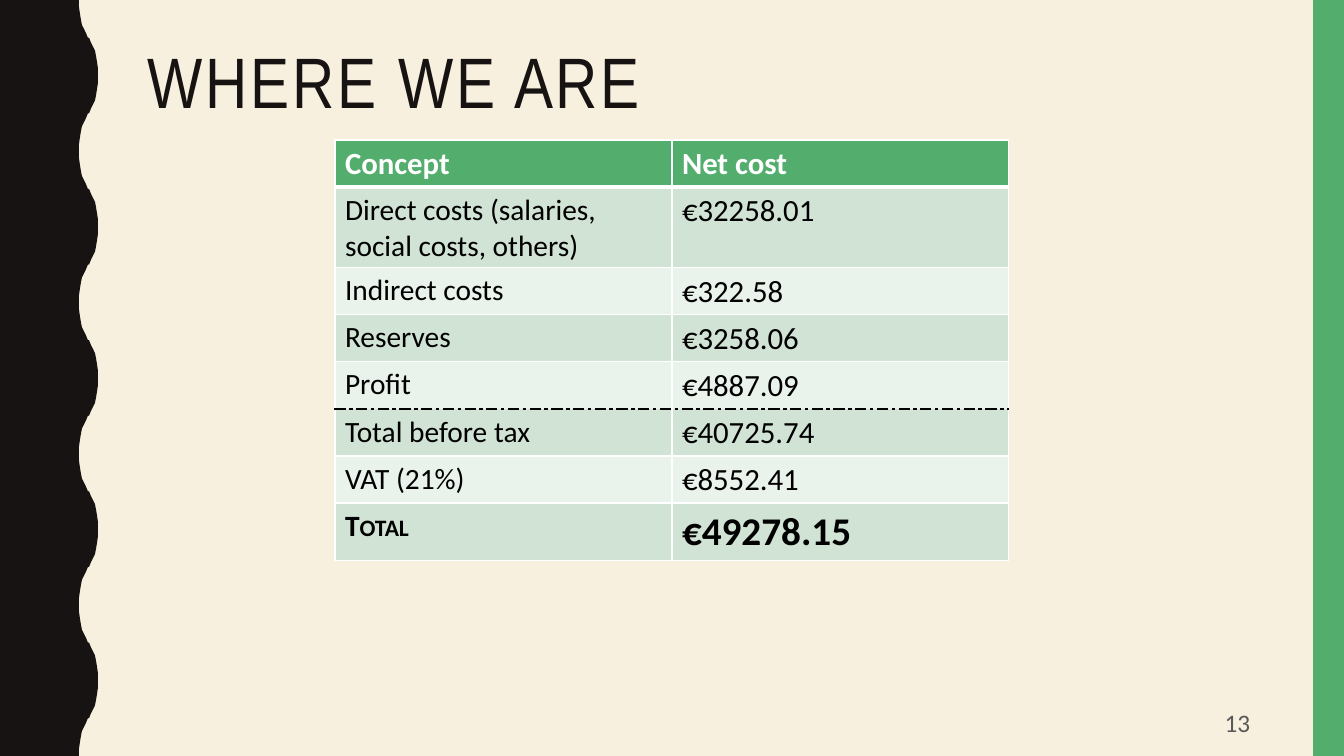
from lxml.etree import SubElement
from pptx import Presentation
from pptx.dml.color import RGBColor
from pptx.enum.shapes import MSO_SHAPE
from pptx.enum.text import MSO_ANCHOR, PP_ALIGN
from pptx.oxml.ns import qn
from pptx.util import Pt

SLIDE_W, SLIDE_H = 1344, 756
PX = 12192000 / SLIDE_W

CREAM = RGBColor(0xF7, 0xF0, 0xDF)
INK = RGBColor(0x17, 0x13, 0x12)
GREEN = RGBColor(0x53, 0xAE, 0x6E)
BAND_DARK = RGBColor(0xD1, 0xE3, 0xD5)
BAND_LIGHT = RGBColor(0xE9, 0xF2, 0xEB)
WHITE = RGBColor(0xFF, 0xFF, 0xFF)
BLACK = RGBColor(0, 0, 0)
GREY = RGBColor(0x59, 0x59, 0x59)

# Trough to midpoint of one swing of the wavy edge, as (dx, dy)
WAVE_CURVE = [(0, 0), (0, 7), (1, 14), (2, 20), (3, 25), (5, 29), (7, 33), (9, 38)]
WAVES = 5

COSTS = [
    ("Concept", "Net cost"),
    ("Direct costs (salaries, social costs, others)", "€32258.01"),
    ("Indirect costs", "€322.58"),
    ("Reserves", "€3258.06"),
    ("Profit", "€4887.09"),
    ("Total before tax", "€40725.74"),
    ("VAT (21%)", "€8552.41"),
    ("Total", "€49278.15"),
]
PROFIT_ROW = 4
TOTAL_ROW = len(COSTS) - 1


def px(n):
    return round(n * PX)


def paint(shape, color):
    shape.shadow.inherit = False
    shape.fill.solid()
    shape.fill.fore_color.rgb = color
    shape.line.fill.background()


def add_run(p, text, font, size, color, bold=False):
    r = p.add_run()
    r.text = text
    r.font.name = font
    r.font.size = Pt(size)
    r.font.bold = bold
    r.font.color.rgb = color
    return r


def add_text_box(s, box, anchor):
    tf = s.shapes.add_textbox(*map(px, box)).text_frame
    tf.word_wrap = True
    tf.vertical_anchor = anchor
    return tf.paragraphs[0]


def add_wavy_edge(s, box):
    """Fill the box from its left side, with a waving right side."""
    left, top, width, height = box
    swing = 19
    trough = left + width - swing
    half = height / WAVES / 2
    out = WAVE_CURVE + [(swing - dx, half - dy) for dx, dy in reversed(WAVE_CURVE)]
    wave = out + [(dx, 2 * half - dy) for dx, dy in reversed(out[:-1])]
    edge = [(px(trough + dx), px(top + 2 * half * n + dy))
            for n in range(WAVES) for dx, dy in wave]
    fb = s.shapes.build_freeform(px(left), px(top))
    fb.add_line_segments(edge + [(px(left), px(top + height))], close=True)
    paint(fb.convert_to_shape(), INK)


def add_side_bar(s, box):
    paint(s.shapes.add_shape(MSO_SHAPE.RECTANGLE, *map(px, box)), GREEN)


def add_title(s, box):
    p = add_text_box(s, box, MSO_ANCHOR.TOP)
    p.line_spacing = 0.9
    r = add_run(p, "WHERE WE ARE", "Arial Narrow", 51, INK)
    r.font._element.set("spc", "200")


def add_page_number(s, box):
    p = add_text_box(s, box, MSO_ANCHOR.MIDDLE)
    p.alignment = PP_ALIGN.RIGHT
    add_run(p, "13", "Calibri", 18, GREY)


def set_border(cell, side, color=WHITE, width=1, dash="solid"):
    ln = SubElement(cell._tc.get_or_add_tcPr(), qn(f"a:ln{side}"), w=str(Pt(width)))
    fill = SubElement(ln, qn("a:solidFill"))
    SubElement(fill, qn("a:srgbClr"), val=str(color))
    SubElement(ln, qn("a:prstDash"), val=dash)


def rule_below(row):
    """Border settings of the line under a row."""
    if row == 0:
        return {"width": 3}
    if row == PROFIT_ROW:
        return {"color": BLACK, "width": 2.25, "dash": "sysDashDot"}
    return {}


def fill_cell(cell, row, col, text):
    set_border(cell, "L")
    set_border(cell, "R")
    set_border(cell, "T", **(rule_below(row - 1) if row else {}))
    set_border(cell, "B", **rule_below(row))
    header, total = row == 0, row == TOTAL_ROW
    cell.fill.solid()
    cell.fill.fore_color.rgb = GREEN if header else BAND_DARK if row % 2 else BAND_LIGHT
    if total and col == 1:
        size = 28
    else:
        size = 22 if header or col == 1 else 21
    r = add_run(cell.text_frame.paragraphs[0], text, "Calibri", size,
                WHITE if header else BLACK, bold=header or total)
    if total and col == 0:
        r.font._element.set("cap", "small")


def add_cost_table(s, box):
    frame = s.shapes.add_table(len(COSTS), len(COSTS[0]), *map(px, box))
    table = frame.table
    for i, values in enumerate(COSTS):
        table.rows[i].height = px(41)
        for j, text in enumerate(values):
            fill_cell(table.cell(i, j), i, j, text)
    frame.height = px(box[3])


def main():
    prs = Presentation()
    prs.slide_width, prs.slide_height = px(SLIDE_W), px(SLIDE_H)
    s = prs.slides.add_slide(prs.slide_layouts[6])
    s.background.fill.solid()
    s.background.fill.fore_color.rgb = CREAM
    add_wavy_edge(s, (0, 0, 98, SLIDE_H))
    add_side_bar(s, (1313, 0, 31, SLIDE_H))
    add_title(s, (138, 42, 1122, 164))
    add_cost_table(s, (335, 140, 674, 420))
    add_page_number(s, (950, 703, 310, 38))
    prs.save("out.pptx")


if __name__ == "__main__":
    main()
